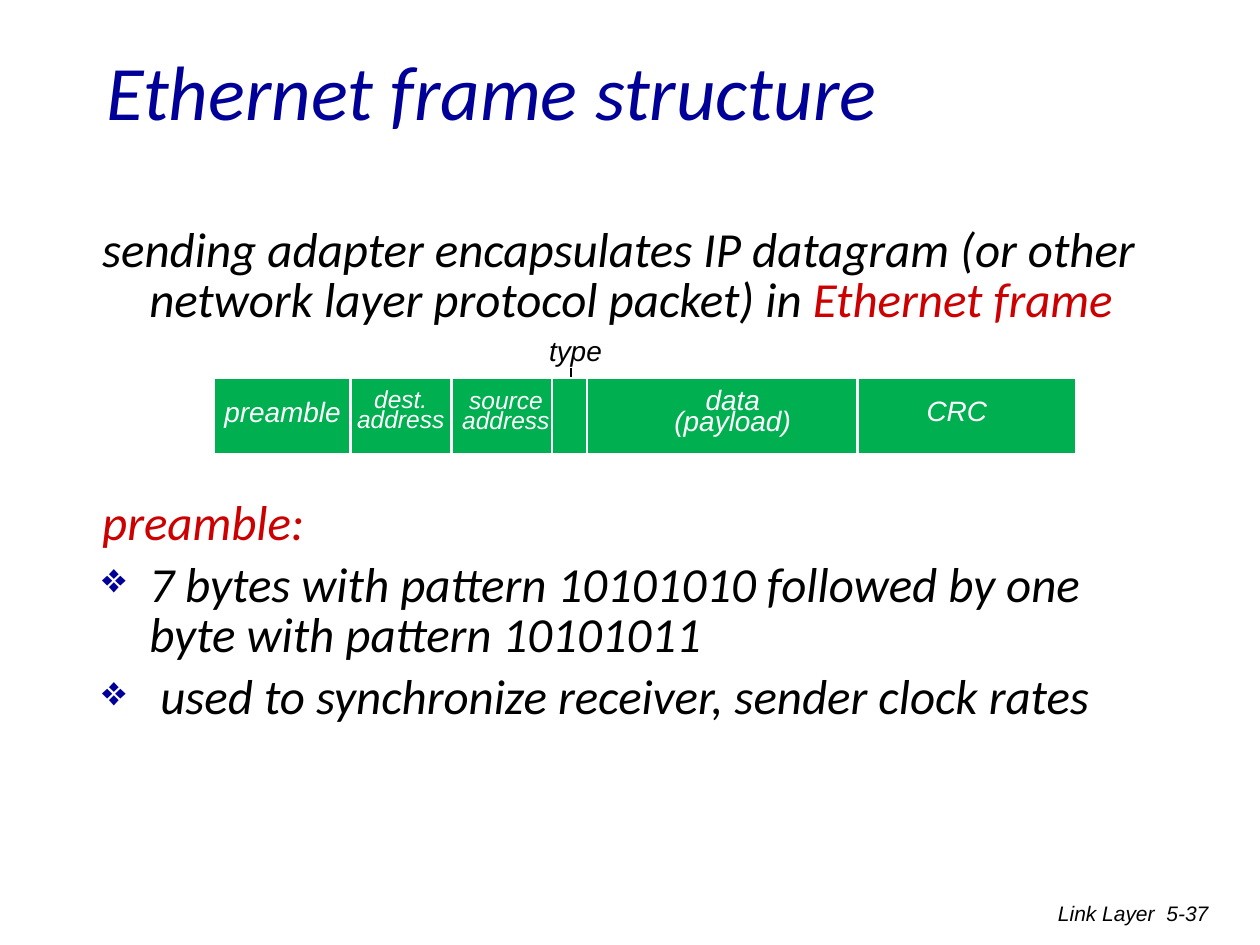
from lxml import etree
from pptx import Presentation
from pptx import util as u
from pptx.dml.color import RGBColor
from pptx.enum import shapes, text
from pptx.oxml import ns

BLACK, WHITE, BLUE, RED, GREEN = "000000", "FFFFFF", "000099", "CC0000", "00B050"
LEFT, MID, RIGHT = text.PP_ALIGN.LEFT, text.PP_ALIGN.CENTER, text.PP_ALIGN.RIGHT

# Content: a paragraph is a list of (words, colour) runs
TITLE = "Ethernet frame structure"
INTRO = [[("sending adapter encapsulates IP datagram (or other network layer "
           "protocol packet) in ", BLACK), ("Ethernet frame", RED)]]
HEAD = [("preamble:", RED)]
POINTS = [
    "7 bytes with pattern 10101010 followed by one byte with pattern 10101011",
    " used to synchronize receiver, sender clock rates",
]
# Frame fields: lines, left, top, width, size
FIELDS = [
    (["dest.", "address"], 6.91, 7.79, 2.34, 14),
    (["source", "address"], 9.03, 7.81, 2.34, 14),
    (["data (payload)"], 12.85, 7.85, 3.84, 16),
    (["CRC"], 18.11, 8.07, 2.36, 16),
    (["preamble"], 4.21, 8.1, 2.97, 16),
]
# Field dividers: x, top, bottom
CUTS = [(7.07, 7.6, 9.13), (9.1, 7.6, 9.22), (11.13, 7.62, 9.14),
        (11.83, 7.6, 9.22), (17.29, 7.62, 9.35)]
# Footer: words, left, width
FOOT = [("Link Layer", 15.48, 8.05), ("5-37", 22.73, 1.88)]

deck = Presentation()
deck.slide_width, deck.slide_height = u.Cm(25.4), u.Cm(19.05)
page = deck.slides.add_slide(deck.slide_layouts[6]).shapes


def rgb(code):
    return RGBColor.from_string(code)


def mark(para, sign):
    """Set the hanging indent, with a bullet if a sign is given."""
    props = para._p.get_or_add_pPr()
    props.set("marL", str(u.Cm(0.95)))
    props.set("indent", str(-u.Cm(0.95)))
    if sign:
        tone = etree.SubElement(props, ns.qn("a:buClr"))
        etree.SubElement(tone, ns.qn("a:srgbClr"), val=BLUE)
        etree.SubElement(props, ns.qn("a:buSzPct"), val="85000")
        etree.SubElement(props, ns.qn("a:buChar"), char=sign)


def write(paras, x, y, w, h, size=16, font="Arial", tone=BLACK, align=LEFT,
          lead=None, gap=0, signs=None, anchor=text.MSO_ANCHOR.TOP):
    """Add a text box; a paragraph is a string or a list of runs."""
    frame = page.add_textbox(u.Cm(x), u.Cm(y), u.Cm(w), u.Cm(h)).text_frame
    frame.word_wrap = True
    frame.vertical_anchor = anchor
    for i, runs in enumerate(paras):
        para = frame.add_paragraph() if i else frame.paragraphs[0]
        para.alignment = align
        if lead:
            para.line_spacing = lead
        if i and gap:
            para.space_before = u.Pt(gap)
        if signs:
            mark(para, signs[i])
        for words, hue in [(runs, tone)] if isinstance(runs, str) else runs:
            run = para.add_run()
            run.text = words
            run.font.size, run.font.name = u.Pt(size), font
            run.font.italic = True
            run.font.color.rgb = rgb(hue)


def rule(x, top, end, tone, width):
    """Add an upright line."""
    line = page.add_connector(shapes.MSO_CONNECTOR.STRAIGHT,
                              u.Cm(x), u.Cm(top), u.Cm(x), u.Cm(end))
    line.line.color.rgb = rgb(tone)
    line.line.width = u.Pt(width)
    etree.SubElement(line._element.spPr, ns.qn("a:effectLst"))


# Footer
for words, x, w in FOOT:
    write([words], x, 18.02, w, 1.27, size=12, align=RIGHT)

# Title and body
write([TITLE], 1.9, 0.95, 21.6, 1.7, size=44, font="Calibri", tone=BLUE,
      anchor=text.MSO_ANCHOR.MIDDLE)
body = dict(size=28, font="Calibri", lead=0.85, gap=7)
write(INTRO, 1.81, 4.46, 21.6, 2.3, signs=[None], **body)
write([HEAD] + POINTS, 1.81, 9.96, 21.6, 6.3,
      signs=[None] + ["❖"] * len(POINTS), **body)

# Frame diagram
rule(11.51, 7.42, 7.98, BLACK, 0.75)
bar = page.add_shape(shapes.MSO_SHAPE.RECTANGLE,
                     u.Cm(4.32), u.Cm(7.62), u.Cm(17.37), u.Cm(1.52))
bar.shadow.inherit = False
bar.fill.solid()
bar.fill.fore_color.rgb = rgb(GREEN)
bar.line.color.rgb = rgb(WHITE)
bar.line.width = u.Pt(0.75)
for x, top, end in CUTS:
    rule(x, top, end, WHITE, 1.5)
for lines, x, y, w, size in FIELDS:
    write(lines, x, y, w, 0.55 * len(lines), size=size, tone=WHITE,
          align=MID, lead=u.Pt(11.8))
write(["type"], 10.82, 6.6, 2.13, 0.94)

deck.save("out.pptx")
